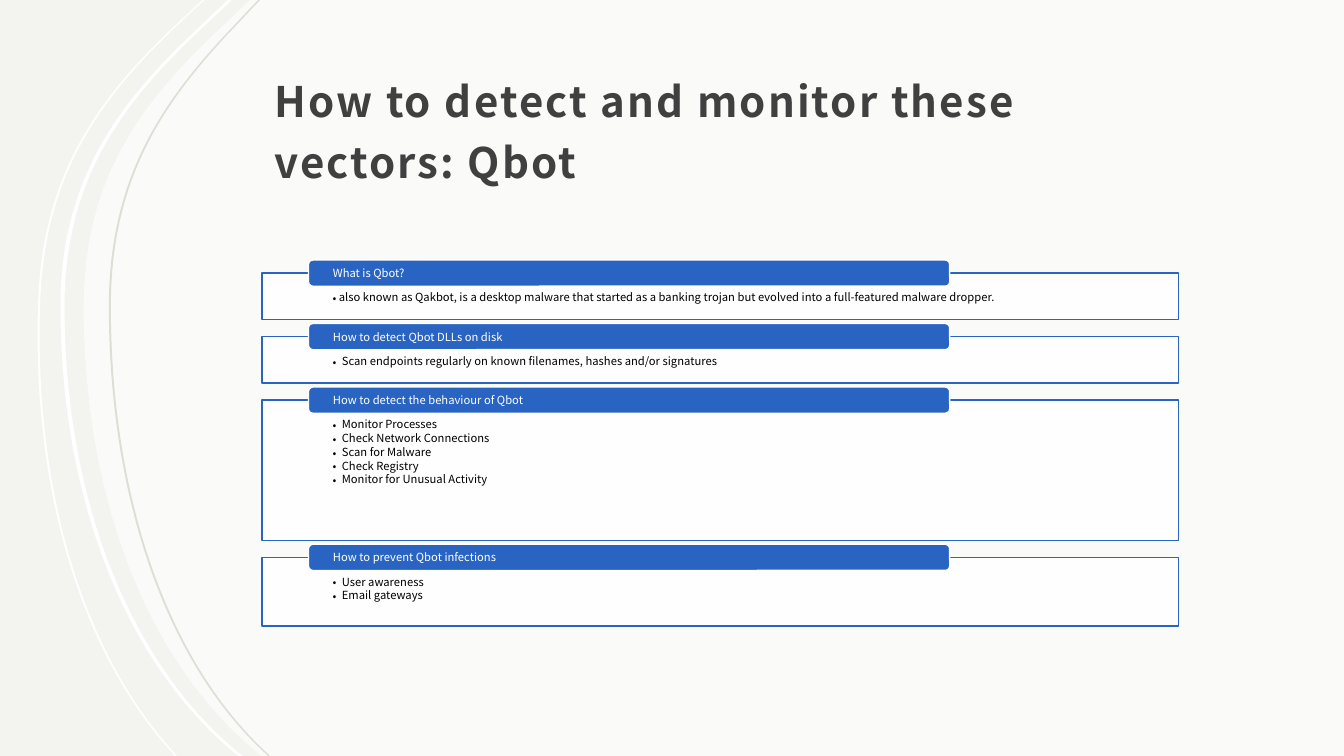
from lxml import etree
from pptx import Presentation
from pptx.dml.color import RGBColor
from pptx.enum.shapes import MSO_SHAPE
from pptx.enum.text import MSO_ANCHOR, PP_ALIGN
from pptx.oxml.ns import qn
from pptx.util import Inches, Pt

RECT, ROUND_RECT = MSO_SHAPE.RECTANGLE, MSO_SHAPE.ROUNDED_RECTANGLE
TOP, MIDDLE, BOTTOM = MSO_ANCHOR.TOP, MSO_ANCHOR.MIDDLE, MSO_ANCHOR.BOTTOM
LEFT = PP_ALIGN.LEFT

FONT = "Noto Sans CJK JP"
WHITE = RGBColor(0xFF, 0xFF, 0xFF)
BLACK = RGBColor(0x00, 0x00, 0x00)
BLUE = RGBColor(0x2A, 0x64, 0xC2)
DARK_GREY = RGBColor(0x40, 0x40, 0x40)
BACKGROUND = RGBColor(0xF3, 0xF3, 0xF0)
ARC_GREY = RGBColor(0xDE, 0xDE, 0xD5)

SLIDE_W, SLIDE_H = 13.33, 7.5
CARD_X, CARD_Y, CARD_W, CARD_GAP = 2.6, 2.71, 9.09, 0.17
HEADER_X, HEADER_W, HEADER_H, HEADER_RISE = 3.06, 6.36, 0.26, 0.13

# Each arc: top end, start of curve, two Bezier segments, bottom end.
PANEL_ARC = [(2.48, 0), (2.11, 0.35), (1.39, 1.04), (0.83, 1.79), (0.83, 3.04),
             (0.83, 4.92), (1.45, 6.57), (2.57, 7.48), (2.59, 7.5)]
OUTER_ARC = [(2.01, 0), (1.75, 0.24), (1.02, 0.93), (0.43, 1.68), (0.38, 2.97),
             (0.31, 4.8), (0.78, 6.45), (1.71, 7.47), (1.73, 7.5)]
MIDDLE_ARC = [(2.26, 0), (1.89, 0.35), (1.17, 1.04), (0.6, 1.79), (0.6, 3.04),
              (0.6, 4.92), (1.23, 6.57), (2.34, 7.48), (2.37, 7.5)]
INNER_ARC = [(2.56, 0), (2.23, 0.35), (1.59, 1.04), (1.08, 1.79), (1.08, 3.04),
             (1.08, 4.92), (1.64, 6.57), (2.64, 7.48), (2.66, 7.5)]
BANDS = [(OUTER_ARC, 0.02, WHITE), (MIDDLE_ARC, 0.04, WHITE),
         (INNER_ARC, 0.02, ARC_GREY)]
ARC_CURVES = (2, 5)  # where the control points of each Bezier segment start

# Header, card height, bullet indent, bullet items.
CARDS = [
    ("What is Qbot?", 0.46, 0.06,
     ["also known as Qakbot, is\u00a0a desktop malware that started as a banking "
      "trojan but evolved into a full-featured malware dropper."]),
    ("How to detect Qbot DLLs on disk", 0.46, 0.09,
     ["Scan endpoints regularly on known filenames, hashes and/or signatures"]),
    ("How to detect the behaviour of Qbot", 1.39, 0.09,
     ["Monitor Processes", "Check Network Connections", "Scan for Malware",
      "Check Registry", "Monitor for Unusual Activity"]),
    ("How to prevent Qbot infections", 0.68, 0.09,
     ["User awareness", "Email gateways"]),
]


def set_fill(sp, color, opacity=100):
    """Fill a shape with a colour at an opacity in percent."""
    sp.shadow.inherit = False
    sp.fill.solid()
    sp.fill.fore_color.rgb = color
    if opacity < 100:
        clr = sp.fill._xPr.find(".//" + qn("a:srgbClr"))
        etree.SubElement(clr, qn("a:alpha")).set("val", str(opacity * 1000))


def set_frame(tf, anchor, left, top, right, bottom):
    """Set anchor, wrapping and insets of a text frame."""
    tf.word_wrap = True
    tf.vertical_anchor = anchor
    tf.margin_left, tf.margin_top = Inches(left), Inches(top)
    tf.margin_right, tf.margin_bottom = Inches(right), Inches(bottom)


def add_text(p, text, size, color, spacing, bold=False):
    """Add one formatted run to a left-aligned paragraph."""
    p.alignment = LEFT
    p.line_spacing = spacing
    r = p.add_run()
    r.text = text
    r.font.name, r.font.size, r.font.bold = FONT, Pt(size), bold
    r.font.color.rgb = color
    return r


def set_bullet(p, indent):
    """Give a paragraph a round bullet with a hanging indent."""
    pPr = p._p.get_or_add_pPr()
    pPr.set("marL", str(Inches(indent)))
    pPr.set("indent", str(-Inches(indent)))
    etree.SubElement(pPr, qn("a:buFont")).set("typeface", FONT)
    etree.SubElement(pPr, qn("a:buChar")).set("char", "\u2022")


def add_outline(slide, points, curves, color, opacity=100):
    """Add a borderless outline; three points from each curve index form a Bezier."""
    emu = [(Inches(x), Inches(y)) for x, y in points]
    builder = slide.shapes.build_freeform(*emu[0])
    builder.add_line_segments(emu[1:], close=True)
    sp = builder.convert_to_shape()
    outline = sp._element.find(".//" + qn("a:path"))
    steps = list(outline)
    for start in curves:
        curve = etree.Element(qn("a:cubicBezTo"))
        outline.replace(steps[start], curve)
        curve.append(steps[start][0])
        for step in steps[start + 1:start + 3]:
            curve.append(step[0])
            outline.remove(step)
    set_fill(sp, color, opacity)
    sp.line.fill.background()


def add_band(slide, arc, width, color):
    """Add a thin curved band whose left edge is the arc."""
    right_edge = [(x + width, y) for x, y in reversed(arc)]
    curves = ARC_CURVES + tuple(len(arc) + i for i in ARC_CURVES)
    add_outline(slide, arc + right_edge, curves, color)


def add_box(slide, kind, x, y, w, h, fill, line, opacity=100):
    """Add a filled preset shape with a thin border."""
    sp = slide.shapes.add_shape(kind, Inches(x), Inches(y), Inches(w), Inches(h))
    set_fill(sp, fill, opacity)
    sp.line.color.rgb = line
    sp.line.width = Pt(1)
    return sp


def add_card(slide, y, header, height, indent, items):
    """Add a bordered list with its header on the top edge."""
    body = add_box(slide, RECT, CARD_X, y, CARD_W, height, WHITE, BLUE, 90)
    tf = body.text_frame
    set_frame(tf, TOP, 0.7, 0.19, 0.71, 0.06)
    for i, item in enumerate(items):
        p = tf.add_paragraph() if i else tf.paragraphs[0]
        p.level = 1
        add_text(p, item, 8, BLACK, 0.9)
        p.space_after = Pt(1.2)
        set_bullet(p, indent)

    tab = add_box(slide, ROUND_RECT, HEADER_X, y - HEADER_RISE,
                  HEADER_W, HEADER_H, BLUE, WHITE)
    set_frame(tab.text_frame, MIDDLE, 0.23, 0.02, 0.23, 0)
    add_text(tab.text_frame.paragraphs[0], header, 8, WHITE, 0.9)


def add_title(slide, text):
    """Place and format the title in front of the backdrop."""
    title = slide.shapes.title
    title.left, title.top = Inches(2.6), Inches(0.48)
    title.width, title.height = Inches(9.18), Inches(1.47)
    set_frame(title.text_frame, BOTTOM, 0.12, 0.12, 0.12, 0.1)
    r = add_text(title.text_frame.paragraphs[0], text, 30, DARK_GREY, 1.2, True)
    r._r.get_or_add_rPr().set("spc", "150")
    slide.shapes._spTree.append(title._element)


def main():
    """Build the slide and save it."""
    prs = Presentation()
    prs.slide_width, prs.slide_height = Inches(SLIDE_W), Inches(SLIDE_H)
    slide = prs.slides.add_slide(prs.slide_layouts[5])
    slide.background.fill.solid()
    slide.background.fill.fore_color.rgb = BACKGROUND

    corners = [(SLIDE_W, SLIDE_H), (SLIDE_W, 0)]
    add_outline(slide, PANEL_ARC + corners, ARC_CURVES, WHITE, 60)
    for band in BANDS:
        add_band(slide, *band)
    add_title(slide, "How to detect and monitor these vectors: Qbot")

    y = CARD_Y
    for header, height, indent, items in CARDS:
        add_card(slide, y, header, height, indent, items)
        y += height + CARD_GAP
    prs.save("out.pptx")


main()
